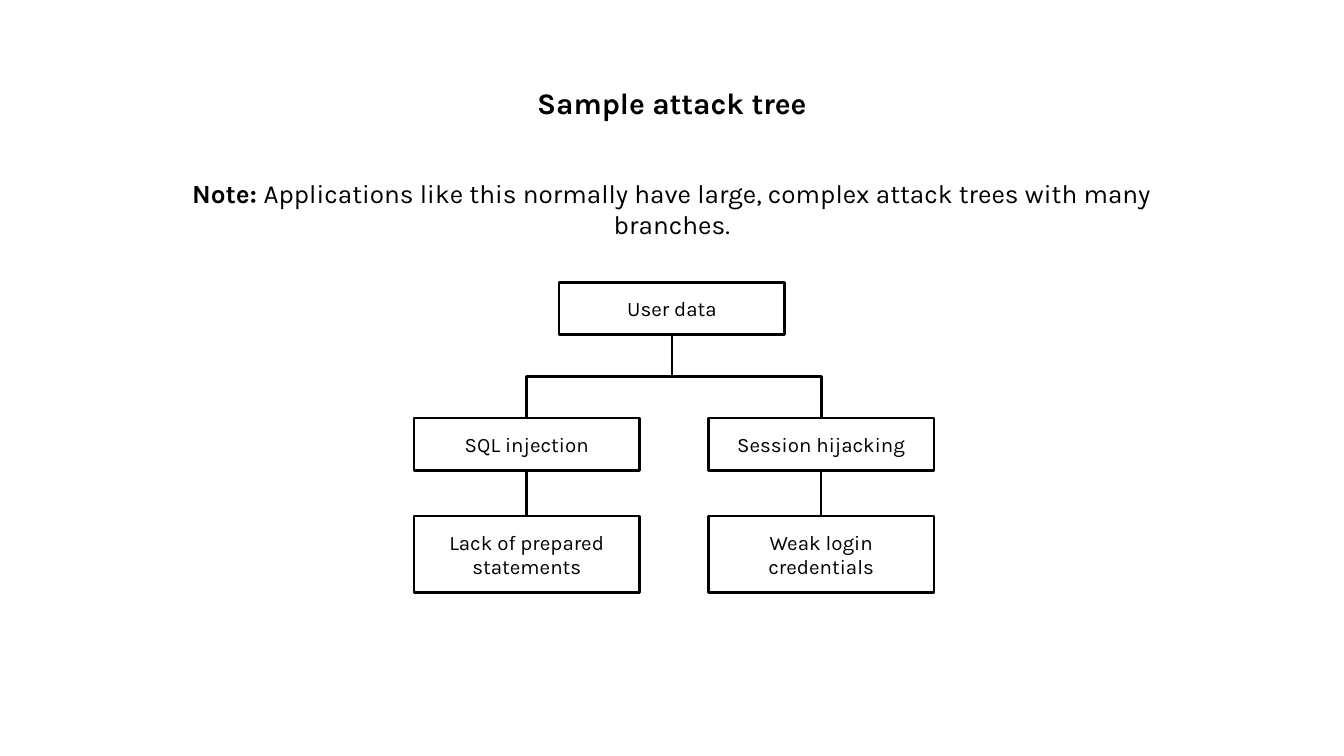
"""Builds a slide with a title, a note and a small attack tree."""
from lxml.etree import SubElement
from pptx import Presentation
from pptx.dml.color import RGBColor
from pptx.enum.shapes import MSO_CONNECTOR as Connector, MSO_SHAPE as Shape
from pptx.enum.text import MSO_ANCHOR as Anchor, MSO_AUTO_SIZE as AutoSize, PP_ALIGN as Align
from pptx.oxml.ns import qn
from pptx.util import Inches, Pt

FONT = "Karla"
INK = "000000"
BOX_WIDTH = 1.68
BOTTOM_SITE, TOP_SITE = 2, 0


def color(hex_string):
    """Turn a hex string into a colour."""
    return RGBColor.from_string(hex_string)


def place(shape, left, top, width, height):
    """Move and size a shape, in inches."""
    shape.left, shape.top = Inches(left), Inches(top)
    shape.width, shape.height = Inches(width), Inches(height)


def write(shape, pieces, size, anchor):
    """Fill a shape with one centred paragraph of (text, bold) pieces."""
    frame = shape.text_frame
    frame.word_wrap = True
    frame.auto_size = AutoSize.SHAPE_TO_FIT_TEXT
    frame.vertical_anchor = anchor
    frame.margin_left = frame.margin_right = Inches(0.1)
    frame.margin_top = frame.margin_bottom = Inches(0.1)
    paragraph = frame.paragraphs[0]
    paragraph.alignment = Align.CENTER
    paragraph.space_before = Pt(0)
    for text, bold in pieces:
        run = paragraph.add_run()
        run.text = text
        run.font.name = FONT
        run.font.size = Pt(size)
        run.font.bold = bold
        run.font.color.rgb = color(INK)


def add_heading(slide, left, top, width):
    """Place the title and the note below it."""
    title, note = slide.shapes.title, slide.placeholders[1]
    place(title, left, top, width, 0.47)
    write(title, [("Sample attack tree", True)], 16, Anchor.TOP)
    place(note, left, top + 0.69, width, 0.67)
    write(note, [("Note: ", True),
                 ("Applications like this normally have large, complex "
                  "attack trees with many branches.", False)], 14, Anchor.TOP)


def add_node(slide, text, left, top, height):
    """Add one outlined box of the tree."""
    node = slide.shapes.add_shape(Shape.RECTANGLE, 0, 0, 0, 0)
    place(node, left, top, BOX_WIDTH, height)
    node.shadow.inherit = False
    node.fill.background()
    node.line.color.rgb = color(INK)
    node.line.width = Pt(1.5)
    write(node, [(text, False)], 11, Anchor.MIDDLE)
    return node


def link(slide, parent, child):
    """Join parent to child with an elbow that leaves and arrives vertically."""
    connector = slide.shapes.add_connector(Connector.ELBOW, 0, 0, 0, 0)
    connector.begin_connect(parent, BOTTOM_SITE)
    connector.end_connect(child, TOP_SITE)
    start_x, start_y = parent.left + parent.width // 2, parent.top + parent.height
    end_x, end_y = child.left + child.width // 2, child.top
    drop, shift = end_y - start_y, abs(end_x - start_x)
    connector.width, connector.height = drop, shift
    connector.left = (start_x + end_x - drop) // 2
    connector.top = (start_y + end_y - shift) // 2
    properties = connector._element.spPr
    frame = properties.find(qn("a:xfrm"))
    goes_left = end_x < start_x
    frame.set("rot", "5400000" if goes_left else "16200000")
    frame.set("flipH", "0" if goes_left else "1")
    frame.set("flipV", "0")
    connector.line.color.rgb = color(INK)
    connector.line.width = Pt(1.5)
    SubElement(properties, qn("a:effectLst"))


def add_tree(slide, left, top):
    """Draw the root and its two branches from the tree's top left corner."""
    root = add_node(slide, "User data", left + 1.08, top, 0.39)
    branches = [("SQL injection", "Lack of prepared statements"),
                ("Session hijacking", "Weak login credentials")]
    for column, (attack, weakness) in enumerate(branches):
        branch_left = left + column * 2.19
        attack_node = add_node(slide, attack, branch_left, top + 1.01, 0.39)
        weakness_node = add_node(slide, weakness, branch_left, top + 1.74, 0.57)
        link(slide, root, attack_node)
        link(slide, attack_node, weakness_node)


def main():
    """Build and save the widescreen slide."""
    presentation = Presentation()
    presentation.slide_width = Inches(10)
    presentation.slide_height = Inches(10) * 9 // 16
    slide = presentation.slides.add_slide(presentation.slide_layouts[0])
    add_heading(slide, 1.3, 0.53, 7.4)
    add_tree(slide, 3.08, 2.1)
    presentation.save("out.pptx")


main()
